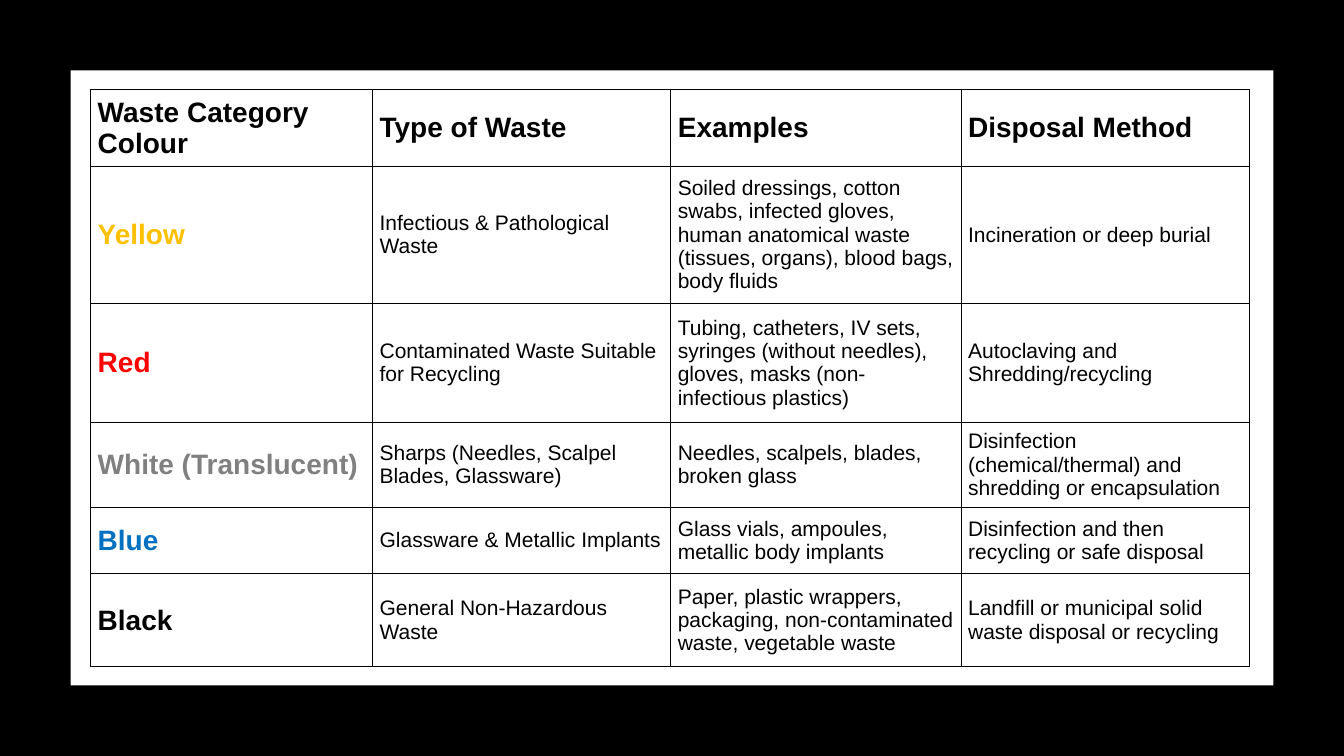
from lxml import etree
from pptx import Presentation
from pptx.dml.color import RGBColor
from pptx.enum.shapes import MSO_SHAPE
from pptx.enum.text import MSO_ANCHOR
from pptx.oxml.ns import qn
from pptx.util import Pt

FRAME = MSO_SHAPE.FRAME
MIDDLE = MSO_ANCHOR.MIDDLE

WIDTH, HEIGHT = 960, 540
BORDER = 50.4
LEFT, TOP = 64.8, 64.2
COLS = [201.4, 213, 207.4, 206]
ROWS = [54.7, 97.9, 85, 60.5, 47.6, 66.4]

COLORS = {
    "black": "000000",
    "yellow": "FFC000",
    "red": "FF0000",
    "gray": "808080",
    "blue": "0070C0",
}
CELL = {
    "margin_left": Pt(5),
    "margin_right": Pt(5),
    "margin_top": Pt(2.9),
    "margin_bottom": Pt(2.9),
    "vertical_anchor": MIDDLE,
}
HEAD = {"name": "Arial", "size": Pt(20), "bold": True}
BODY = {"name": "Arial", "size": Pt(15), "bold": False}

TITLES = ["Waste Category Colour", "Type of Waste", "Examples", "Disposal Method"]
WASTE = [
    ("yellow", "Yellow", "Infectious & Pathological Waste",
     "Soiled dressings, cotton swabs, infected gloves, human anatomical waste "
     "(tissues, organs), blood bags, body fluids",
     "Incineration or deep burial"),
    ("red", "Red", "Contaminated Waste Suitable for Recycling",
     "Tubing, catheters, IV sets, syringes (without needles), gloves, masks "
     "(non-infectious plastics)",
     "Autoclaving and Shredding/recycling"),
    ("gray", "White (Translucent)", "Sharps (Needles, Scalpel Blades, Glassware)",
     "Needles, scalpels, blades, broken glass",
     "Disinfection (chemical/thermal) and shredding or encapsulation"),
    ("blue", "Blue", "Glassware & Metallic Implants",
     "Glass vials, ampoules, metallic body implants",
     "Disinfection and then recycling or safe disposal"),
    ("black", "Black", "General Non-Hazardous Waste",
     "Paper, plastic wrappers, packaging, non-contaminated waste, vegetable waste",
     "Landfill or municipal solid waste disposal or recycling"),
]


def rgb(color):
    return RGBColor.from_string(COLORS[color])


def apply(target, values):
    for name, value in values.items():
        setattr(target, name, value)


def add_frame(slide):
    frame = slide.shapes.add_shape(FRAME, 0, 0, Pt(WIDTH), Pt(HEIGHT))
    frame.adjustments[0] = BORDER / HEIGHT
    frame.shadow.inherit = False
    frame.fill.solid()
    frame.fill.fore_color.rgb = rgb("black")
    frame.line.fill.background()


def add_edges(cell):
    """Draw a thin black line on all four sides of the cell."""
    props = cell._tc.get_or_add_tcPr()
    for side in "LRTB":
        line = etree.SubElement(props, qn(f"a:ln{side}"), w=str(Pt(1)))
        fill = etree.SubElement(line, qn("a:solidFill"))
        etree.SubElement(fill, qn("a:srgbClr"), val=COLORS["black"])


def fill_cell(cell, text, font, color="black"):
    apply(cell, CELL)
    add_edges(cell)
    cell.fill.background()
    para = cell.text_frame.paragraphs[0]
    run = para.add_run()
    run.text = text
    apply(run.font, font)
    run.font.color.rgb = rgb(color)


def add_grid(slide):
    shape = slide.shapes.add_table(len(ROWS), len(COLS), Pt(LEFT), Pt(TOP),
                                   Pt(sum(COLS)), Pt(sum(ROWS)))
    table = shape.table
    apply(table, {"first_row": False, "horz_banding": False})
    for col, width in zip(table.columns, COLS):
        col.width = Pt(width)
    for row, height in zip(table.rows, ROWS):
        row.height = Pt(height)
    for col, title in enumerate(TITLES):
        fill_cell(table.cell(0, col), title, HEAD)
    for row, (color, label, *texts) in enumerate(WASTE, 1):
        fill_cell(table.cell(row, 0), label, HEAD, color)
        for col, text in enumerate(texts, 1):
            fill_cell(table.cell(row, col), text, BODY)


def main():
    deck = Presentation()
    apply(deck, {"slide_width": Pt(WIDTH), "slide_height": Pt(HEIGHT)})
    slide = deck.slides.add_slide(deck.slide_layouts[6])
    add_frame(slide)
    add_grid(slide)
    deck.save("out.pptx")


if __name__ == "__main__":
    main()
